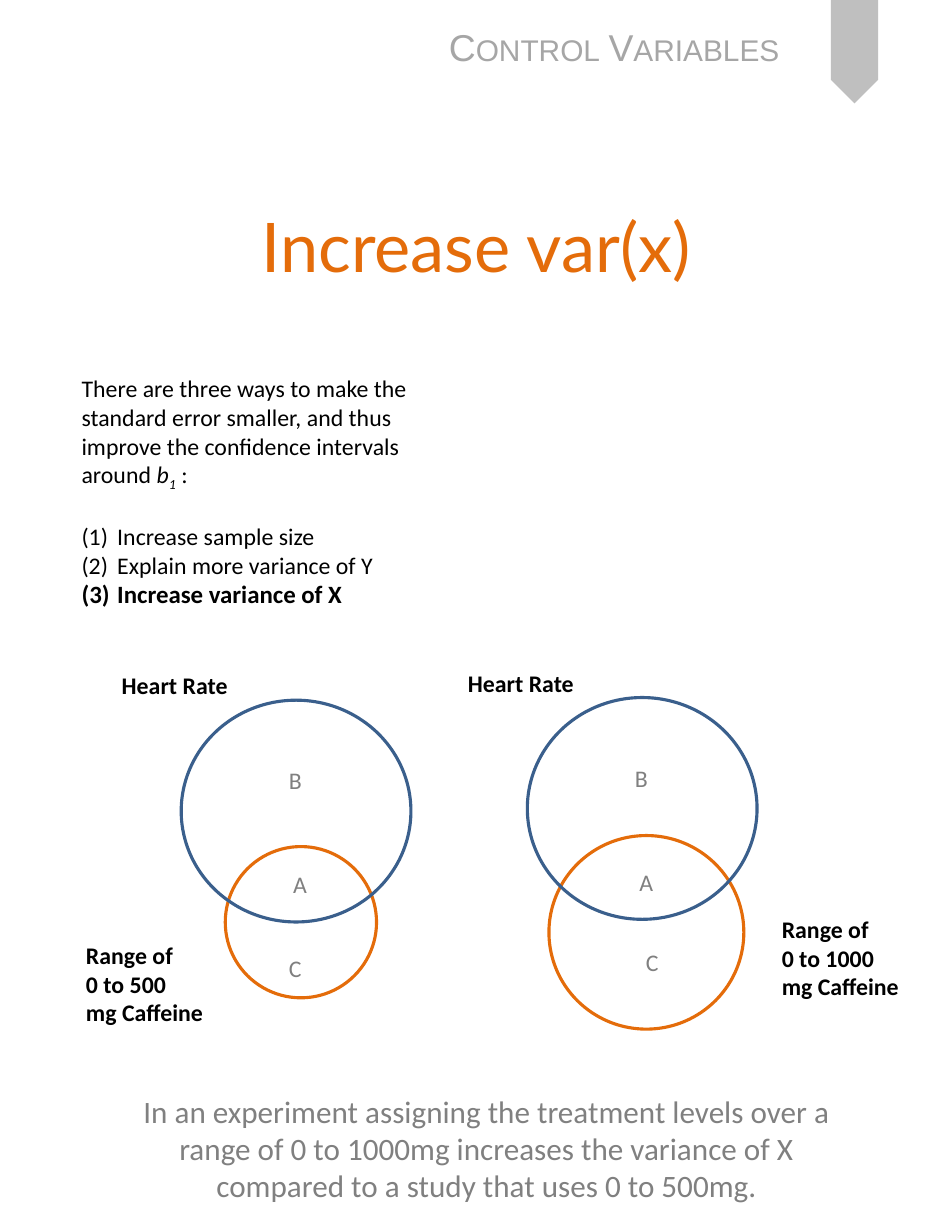
from lxml.etree import SubElement
from pptx import Presentation
from pptx.dml.color import RGBColor
from pptx.enum.shapes import MSO_SHAPE
from pptx.enum.text import MSO_ANCHOR, MSO_AUTO_SIZE, PP_ALIGN
from pptx.oxml.ns import qn
from pptx.util import Cm, Pt

ORANGE = RGBColor(0xE4, 0x6C, 0x0A)
BLUE = RGBColor(0x3A, 0x5F, 0x8C)
BLACK = RGBColor(0, 0, 0)
GRAY = RGBColor(0x80, 0x80, 0x80)
PALE = RGBColor(0xA6, 0xA6, 0xA6)
SILVER = RGBColor(0xBF, 0xBF, 0xBF)

# Content: lengths in cm
HEAD = "Control Variables"
TITLE = "Increase var(x)"
INTRO = [
    ("There are three ways to make the standard error smaller, and thus "
     "improve the confidence intervals around ", None, None),
    ("b", True, None),
    ("1", True, "-25000"),
    (" :", None, None),
]
WAYS = ["Increase sample size", "Explain more variance of Y",
        "Increase variance of X"]
NOTE = ("In an experiment assigning the treatment levels over a range of "
        "0 to 1000mg increases the variance of X compared to a study that "
        "uses 0 to 500mg.")

# Parts both diagrams share, placed from the diagram's origin
HEART = (1.6, 0.79, 5.21, 5.03)
SHARED = [("Heart Rate", 0, 0, 2.92, BLACK, True),
          ("A", 3.89, 4.52, 0.84, GRAY, False),
          ("B", 3.79, 2.16, 0.81, GRAY, False)]
VENNS = [
    {"origin": (2.51, 15.09), "dose": (5.11, 19.2, 3.43, 3.43),
     "c": (6.3, 21.51), "label": (1.7, 21.21),
     "range": "Range of \v0 to 500\nmg Caffeine"},
    {"origin": (10.36, 15.03), "dose": (12.45, 18.95, 4.42, 4.39),
     "c": (14.4, 21.36), "label": (17.48, 20.62),
     "range": "Range of \v0 to 1000\nmg Caffeine"},
]

deck = Presentation()
deck.slide_width, deck.slide_height = Cm(21.59), Cm(27.94)
slide = deck.slides.add_slide(deck.slide_layouts[5])
shapes = slide.shapes


def style(para, size, color, bold=False, face="Calibri"):
    font = para.font
    font.name, font.size, font.bold = face, Pt(size), bold
    font.color.rgb = color


def add_text(text, box, size, color, bold=False, face="Calibri",
             wrap=False, align=PP_ALIGN.LEFT):
    frame = shapes.add_textbox(*map(Cm, box)).text_frame
    frame.word_wrap = wrap
    frame.auto_size = MSO_AUTO_SIZE.SHAPE_TO_FIT_TEXT
    frame.text = text
    for para in frame.paragraphs:
        para.alignment = align
        style(para, size, color, bold, face)
    return frame


def add_ring(box, color):
    ring = shapes.add_shape(MSO_SHAPE.OVAL, *map(Cm, box))
    ring.shadow.inherit = False
    ring.fill.background()
    ring.line.color.rgb, ring.line.width = color, Pt(2)


# Page header
tag = shapes.add_shape(MSO_SHAPE.PENTAGON, Cm(18.21), Cm(0.64),
                       Cm(2.34), Cm(1.07))
tag.rotation = 90
tag.shadow.inherit = False
tag.fill.solid()
tag.fill.fore_color.rgb = SILVER
tag.line.fill.background()
head = add_text(HEAD, (9.93, 0.43, 8.26, 1.27), 24, PALE, face="Arial")
head.paragraphs[0].runs[0]._r.get_or_add_rPr().set("cap", "small")

# Title
title = shapes.title
title.left, title.top, title.width, title.height = map(
    Cm, (1.09, 3.23, 19.43, 4.65))
title.text_frame.text = TITLE
title.text_frame.vertical_anchor = MSO_ANCHOR.MIDDLE
title.text_frame.paragraphs[0].alignment = PP_ALIGN.CENTER
style(title.text_frame.paragraphs[0], 44, ORANGE, face="Lato")

# Three ways to shrink the standard error
frame = add_text("", (1.6, 8.36, 8.46, 5.49), 15.3, BLACK, wrap=True)
intro = frame.paragraphs[0]
intro.space_after = Pt(19)
for text, slant, base in INTRO:
    run = intro.add_run()
    run.text = text
    run.font.italic = slant
    if base:
        run._r.get_or_add_rPr().set("baseline", base)
for way in WAYS:
    para = frame.add_paragraph()
    para.text = way
    props = para._p.get_or_add_pPr()
    props.set("marL", str(Cm(0.81)))
    props.set("indent", str(-Cm(0.81)))
    SubElement(props, qn("a:buFont"), typeface="+mj-lt")
    SubElement(props, qn("a:buAutoNum"), type="arabicParenBoth")
    last = way == WAYS[-1]
    style(para, 16 if last else 15.3, BLACK, last)

# Venn diagrams
for venn in VENNS:
    left, top = venn["origin"]
    x, y, wide, high = HEART
    add_ring(venn["dose"], ORANGE)
    add_ring((left + x, top + y, wide, high), BLUE)
    for text, x, y, wide, color, bold in SHARED:
        add_text(text, (left + x, top + y, wide, 0.91), 15.3, color, bold)
    add_text("C", (*venn["c"], 0.81, 0.91), 15.3, GRAY)
    add_text(venn["range"], (*venn["label"], 3.2, 2.21), 15.3, BLACK, True)

# Closing note
add_text(NOTE, (2.92, 24.64, 16.23, 2.82), 20, GRAY, wrap=True,
         align=PP_ALIGN.CENTER)

deck.save("out.pptx")
